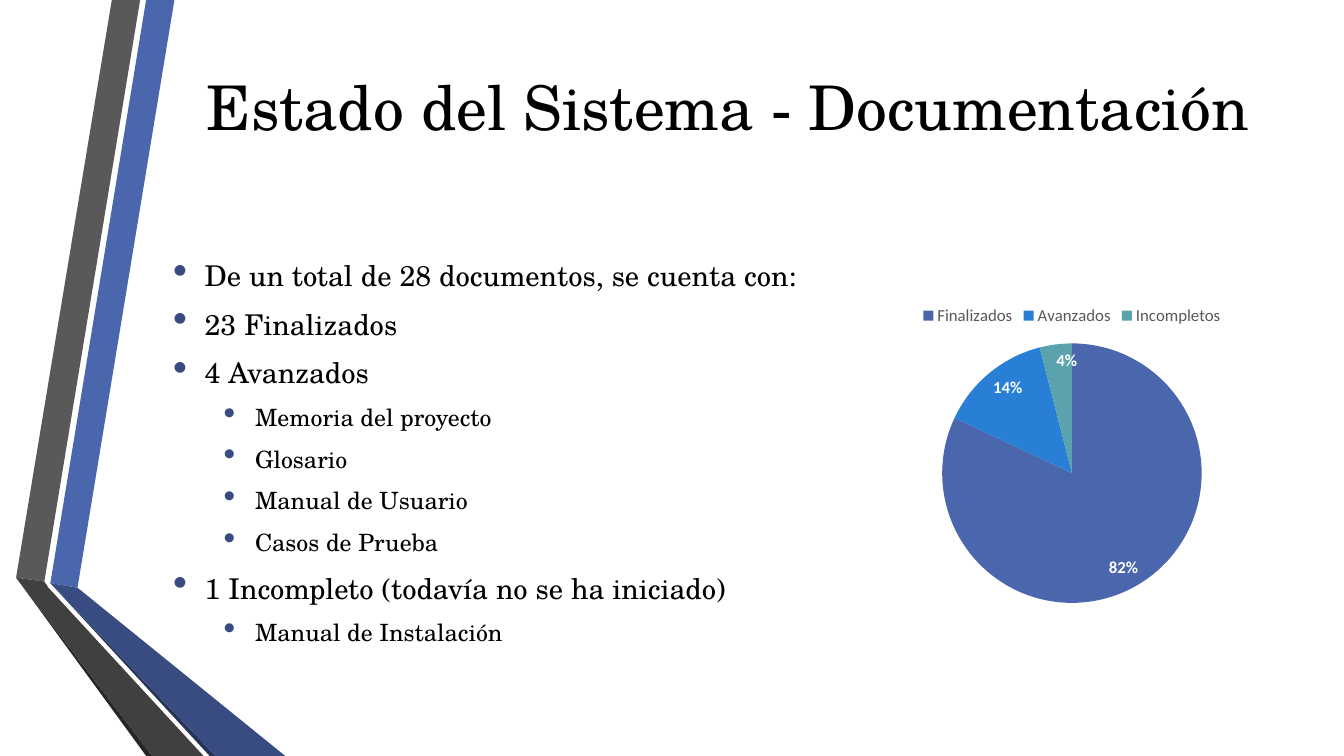
from dataclasses import dataclass

import pptx
import pptx.chart.data
import pptx.dml.color
import pptx.enum.chart
import pptx.enum.text
import pptx.oxml
import pptx.oxml.ns
import pptx.util

Pt = pptx.util.Pt
RGBColor = pptx.dml.color.RGBColor


@dataclass(frozen=True)
class Theme:
    heading_font: str = "TeX Gyre Schola"
    chart_font: str = "Calibri"
    title_size: float = 44
    item_sizes: tuple = (20.4, 17)
    chart_size: float = 12
    text: str = "000000"
    muted: str = "595959"
    white: str = "FFFFFF"
    blue: str = "4A66AC"
    deep_blue: str = "384C81"
    blue_edge: str = "253356"
    gray: str = "595959"
    deep_gray: str = "404040"
    gray_edge: str = "262626"
    slices: tuple = ("4A66AC", "297FD5", "5AA2AE")


def style_font(font, face, size, color, bold=False):
    font.name = face
    font.size = Pt(size)
    font.bold = bold
    font.color.rgb = RGBColor.from_string(color)


def write_text(paragraph, text, *, face, size, color, align=None, before=0, after=0):
    run = paragraph.add_run()
    run.text = text
    style_font(run.font, face, size, color)
    paragraph.alignment = align
    paragraph.space_before = Pt(before)
    paragraph.space_after = Pt(after)


class StatusSlide:
    def __init__(self, presentation, theme):
        self.theme = theme
        self.slide = presentation.slides.add_slide(presentation.slide_layouts[6])

    def ribbon(self, color, *corners):
        start, *rest = [(Pt(x), Pt(y)) for x, y in corners]
        outline = self.slide.shapes.build_freeform(*start)
        outline.add_line_segments(rest, close=True)
        band = outline.convert_to_shape()
        band.shadow.inherit = False
        band.fill.solid()
        band.fill.fore_color.rgb = RGBColor.from_string(color)
        band.line.fill.background()

    def text_frame(self, *box):
        frame = self.slide.shapes.add_textbox(*map(Pt, box)).text_frame
        frame.word_wrap = True
        frame.vertical_anchor = pptx.enum.text.MSO_ANCHOR.MIDDLE
        return frame

    def title(self, text, *box):
        write_text(self.text_frame(*box).paragraphs[0], text,
                   face=self.theme.heading_font, size=self.theme.title_size,
                   color=self.theme.text, align=pptx.enum.text.PP_ALIGN.CENTER)

    def bullets(self, items, *box):
        frame = self.text_frame(*box)
        for index, (level, text) in enumerate(items):
            paragraph = frame.add_paragraph() if index else frame.paragraphs[0]
            size = self.theme.item_sizes[level]
            write_text(paragraph, text, face=self.theme.heading_font, size=size,
                       color=self.theme.text, before=0.2 * size, after=6)
            paragraph.level = level
            self.mark_bullet(paragraph, level)

    def mark_bullet(self, paragraph, level):
        properties = paragraph._p.get_or_add_pPr()
        properties.set("marL", str(Pt(22.5 + 36 * level)))
        properties.set("indent", str(Pt(-22.5)))
        namespace = pptx.oxml.ns.nsdecls("a")
        for markup in (
            f'<a:buClr {namespace}><a:srgbClr val="{self.theme.deep_blue}"/></a:buClr>',
            f'<a:buSzPct {namespace} val="145000"/>',
            f'<a:buChar {namespace} char="•"/>',
        ):
            properties.append(pptx.oxml.parse_xml(markup))

    def pie(self, shares, *box):
        theme = self.theme
        data = pptx.chart.data.CategoryChartData()
        data.categories = list(shares)
        data.add_series("Series 1", list(shares.values()))
        chart = self.slide.shapes.add_chart(
            pptx.enum.chart.XL_CHART_TYPE.PIE, *map(Pt, box), data).chart
        style_font(chart.font, theme.chart_font, theme.chart_size, theme.text)
        chart.has_title = False
        chart.has_legend = True
        chart.legend.position = pptx.enum.chart.XL_LEGEND_POSITION.TOP
        chart.legend.include_in_layout = False
        style_font(chart.legend.font, theme.chart_font, theme.chart_size, theme.muted)
        plot = chart.plots[0]
        plot.vary_by_categories = True
        for index, color in enumerate(theme.slices):
            wedge = plot.series[0].points[index].format
            wedge.fill.solid()
            wedge.fill.fore_color.rgb = RGBColor.from_string(color)
            wedge.line.fill.background()
        plot.has_data_labels = True
        labels = plot.data_labels
        labels.show_percentage = True
        labels.show_value = False
        labels.number_format = "0%"
        labels.number_format_is_linked = False
        labels.position = pptx.enum.chart.XL_LABEL_POSITION.INSIDE_END
        style_font(labels.font, theme.chart_font, theme.chart_size, theme.white, bold=True)


theme = Theme()
presentation = pptx.Presentation()
presentation.slide_width = Pt(960)
presentation.slide_height = Pt(540)
status = StatusSlide(presentation, theme)

gray_fold, gray_inner = (11.5, 412.6), (31.7, 415.4)
blue_fold, blue_inner = (36, 416.5), (55.4, 419.8)
gray_foot, blue_foot = (108.7, 540), (154.1, 540)

status.ribbon(theme.blue, blue_fold, blue_inner, (124.6, 0), (104.4, 0))
status.ribbon(theme.gray, gray_fold, gray_inner, (100.1, 0), (79.9, 0))
status.ribbon(theme.gray_edge, gray_fold, (104.4, 540), gray_foot)
status.ribbon(theme.blue_edge, blue_fold, (149.8, 540), blue_foot)
status.ribbon(theme.deep_blue, blue_fold, blue_foot, (203.8, 540), blue_inner)
status.ribbon(theme.deep_gray, gray_fold, gray_foot, (145.4, 540), (34.6, 419.8), gray_inner)

status.title("Estado del Sistema - Documentación", 126, 6.5, 789, 138)
status.bullets([
    (0, "De un total de 28 documentos, se cuenta con:"),
    (0, "23 Finalizados"),
    (0, "4 Avanzados"),
    (1, "Memoria del proyecto"),
    (1, "Glosario"),
    (1, "Manual de Usuario"),
    (1, "Casos de Prueba"),
    (0, "1 Incompleto (todavía no se ha iniciado)"),
    (1, "Manual de Instalación"),
], 116.6, 190, 789, 266.4)
status.pie({"Finalizados": 82, "Avanzados": 14, "Incompletos": 4}, 594.7, 210.2, 342, 230.4)

presentation.save("out.pptx")
